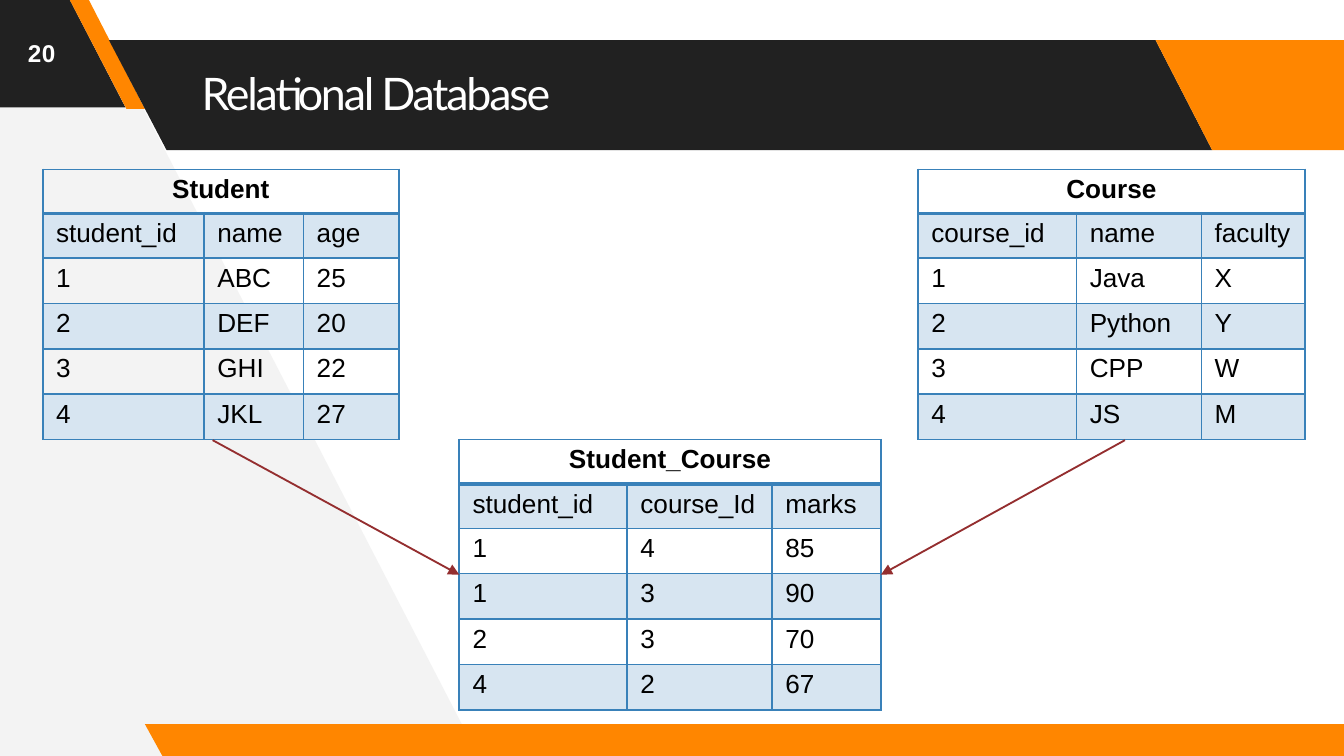
from dataclasses import dataclass

import pptx
import pptx.dml.color
import pptx.enum.shapes
import pptx.enum.text
import pptx.oxml
import pptx.oxml.ns
import pptx.util

Cm = pptx.util.Cm
Pt = pptx.util.Pt
ALIGN = pptx.enum.text.PP_ALIGN


@dataclass(frozen=True)
class Theme:
    """Colours, fonts and type sizes of the slide."""
    dark: str = "212121"
    pale: str = "F3F3F3"
    orange: str = "FF8600"
    band: str = "D7E5F1"
    border: str = "3981B9"
    arrow: str = "942E2F"
    white: str = "FFFFFF"
    black: str = "000000"
    display: str = "Lato"
    body: str = "Arial"
    title: int = 24
    number: int = 13
    cell: int = 14


@dataclass(frozen=True)
class Box:
    """A region in centimetres."""
    left: float
    top: float
    wide: float
    high: float


THEME = Theme()


def rgb(code):
    """Return a colour from its hex code."""
    return pptx.dml.color.RGBColor.from_string(code)


def node(markup):
    """Parse one DrawingML element."""
    tag, rest = markup.split(" ", 1)
    return pptx.oxml.parse_xml(f"<{tag} {pptx.oxml.ns.nsdecls('a')} {rest}")


def style(para, face, size, color, bold=False):
    """Set the font of a paragraph."""
    font = para.font
    font.name, font.size, font.bold = face, Pt(size), bold
    font.color.rgb = rgb(color)


def shape(slide, box, color, *rings):
    """Draw a filled outline from rings of points inside the box."""
    spots = [[(Cm(box.left + x), Cm(box.top + y)) for x, y in ring] for ring in rings]
    pen = slide.shapes.build_freeform(*spots[0][0])
    for i, ring in enumerate(spots):
        if i:
            pen.move_to(*ring[0])
        pen.add_line_segments(ring[1:], close=True)
    form = pen.convert_to_shape()
    form.shadow.inherit = False
    form.fill.solid()
    form.fill.fore_color.rgb = rgb(color)
    form.line.fill.background()


def frame(slide, box):
    """Draw the slanted backdrop, corner, title bar and orange bands."""
    w, h = box.wide, box.high
    shape(slide, box, THEME.pale, [(0, 0), (1.65, 0), (9.04, h), (0, h)])
    shape(slide, box, THEME.dark, [(0, 0), (1.32, 0), (2.37, 2.03), (0, 2.03)])
    shape(slide, box, THEME.orange, [(1.32, 0), (1.68, 0), (2.74, 2.06), (2.39, 2.06)])
    shape(slide, box, THEME.dark, [(2.06, 0.76), (21.84, 0.76), (22.91, 2.84), (3.15, 2.84)])
    shape(slide, box, THEME.orange,
          [(2.74, 13.69), (w, 13.69), (w, h), (3.07, h)],
          [(21.84, 0.76), (w, 0.76), (w, 2.84), (22.91, 2.84)])


def label(slide, box, text, face, size, bold=False, space=0):
    """Place one line of white text in the box."""
    area = slide.shapes.add_textbox(Cm(box.left), Cm(box.top), Cm(box.wide), Cm(box.high))
    body = area.text_frame
    body.word_wrap = True
    body.margin_left = body.margin_right = body.margin_bottom = 0
    body.margin_top = Cm(0.03)
    para = body.paragraphs[0]
    run = para.add_run()
    run.text = text
    style(para, face, size, THEME.white, bold)
    run.font._element.set("spc", str(space))


def edge(cell, row):
    """Draw the four borders of a cell, heavy below the table name."""
    heavy = {("B", 0), ("T", 1)}
    props = cell._tc.get_or_add_tcPr()
    for i, side in enumerate("LRTB"):
        width = Pt(2.25 if (side, row) in heavy else 1)
        props.insert(i, node(
            f'a:ln{side} w="{width}"><a:solidFill><a:srgbClr val="{THEME.border}"/>'
            f'</a:solidFill></a:ln{side}>'))


def grid(slide, box, name, cols, rows):
    """Build a banded table under its merged name, and return its frame."""
    part = slide.shapes.add_table(len(rows) + 1, len(cols), Cm(box.left), Cm(box.top),
                                  Cm(box.wide), Cm(box.high))
    table = part.table
    table.first_row = table.horz_banding = False
    for col, wide in zip(table.columns, cols):
        col.width = Cm(box.wide * wide / sum(cols))
    tall = [0.84] * 2 + [0.86] * (len(rows) - 1)
    for row, high in zip(table.rows, tall):
        row.height = Cm(box.high * high / sum(tall))
    table.cell(0, 0).merge(table.cell(0, len(cols) - 1))
    for i, texts in enumerate([[name] + [""] * (len(cols) - 1)] + rows):
        for j, text in enumerate(texts):
            cell = table.cell(i, j)
            cell.margin_left = Cm(0.25 if i else 0)
            cell.margin_right = cell.margin_bottom = 0
            cell.margin_top = Cm(0.1)
            if i % 2:
                cell.fill.solid()
                cell.fill.fore_color.rgb = rgb(THEME.band)
            else:
                cell.fill.background()
            edge(cell, i)
            para = cell.text_frame.paragraphs[0]
            para.text = text
            para.alignment = ALIGN.LEFT if i else ALIGN.CENTER
            style(para, THEME.body, THEME.cell, THEME.black, i == 0)
    return part


def link(slide, x, y, part, side):
    """Draw an arrow from a point to the middle of a table's side."""
    kind = pptx.enum.shapes.MSO_CONNECTOR.STRAIGHT
    line = slide.shapes.add_connector(kind, Cm(x), Cm(y), Cm(x), Cm(y))
    line.end_connect(part, side)
    line.line.width = Pt(1)
    line.line.color.rgb = rgb(THEME.arrow)
    line.line._get_or_add_ln().append(node('a:tailEnd type="triangle"/>'))
    line._element.spPr.append(node("a:effectLst />"))


def main():
    """Build and save the slide."""
    deck = pptx.Presentation()
    deck.slide_width, deck.slide_height = Cm(25.4), Cm(14.29)
    slide = deck.slides.add_slide(deck.slide_layouts[6])
    frame(slide, Box(0, 0, 25.4, 14.29))
    label(slide, Box(3.81, 1.22, 11.96, 1.09), "Relational Database",
          THEME.display, THEME.title, space=-120)
    label(slide, Box(0.53, 0.69, 0.7, 0.61), "20", THEME.body, THEME.number, True, 20)
    grid(slide, Box(0.81, 3.2, 6.73, 5.11), "Student", (1.2, 0.74, 0.71), [
        ["student_id", "name", "age"],
        ["1", "ABC", "25"], ["2", "DEF", "20"], ["3", "GHI", "22"], ["4", "JKL", "27"]])
    grid(slide, Box(17.35, 3.2, 7.31, 5.11), "Course", (1.18, 0.93, 0.77), [
        ["course_id", "name", "faculty"],
        ["1", "Java", "X"], ["2", "Python", "Y"], ["3", "CPP", "W"], ["4", "JS", "M"]])
    marks = grid(slide, Box(8.68, 8.31, 7.97, 5.11), "Student_Course", (1.25, 1.08, 0.81), [
        ["student_id", "course_Id", "marks"],
        ["1", "4", "85"], ["1", "3", "90"], ["2", "3", "70"], ["4", "2", "67"]])
    link(slide, 4.02, 8.32, marks, 1)
    link(slide, 21.26, 8.32, marks, 3)
    deck.save("out.pptx")


if __name__ == "__main__":
    main()
